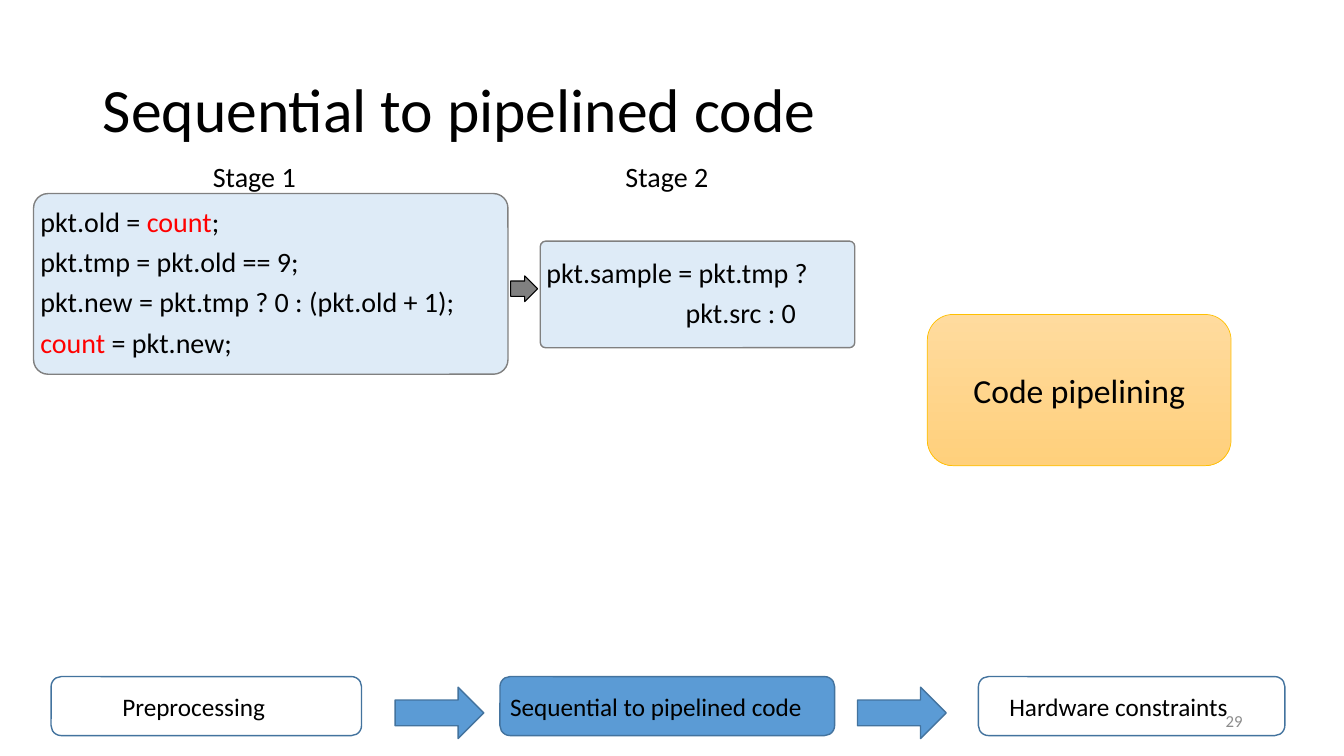
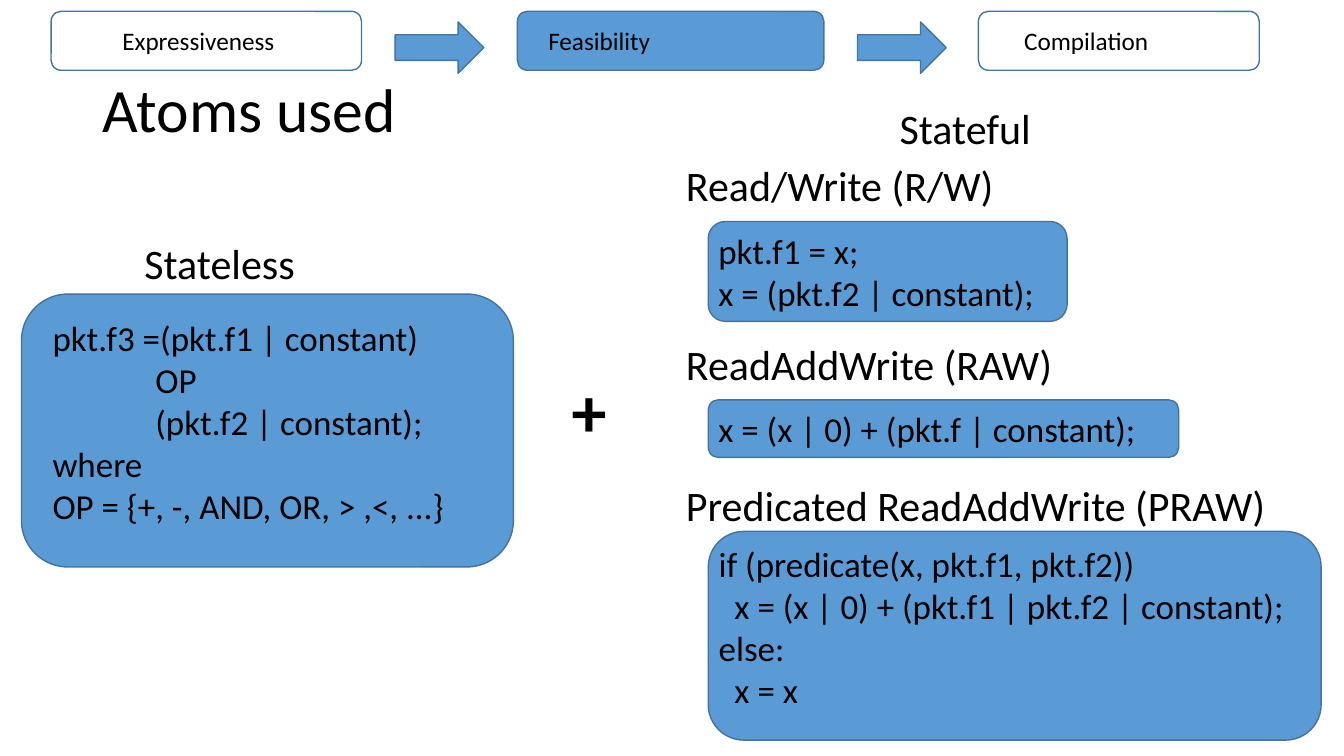
import pptx
import pptx.dml.color
import pptx.enum.shapes
import pptx.enum.text
import pptx.util

WIDE, HIGH = 13.33, 7.5
BLACK, RED, GRAY, PALE = "000000", "FF0000", "808080", "DEEBF7"
BLUE, NAVY, GOLD, MUTED = "5B9BD5", "43739E", "FFC000", "8C8C8C"
GLOW = ("FFDB9E", "FFD07C")
FONT = "Calibri"
TITLE = (6.9, 5.3, 86.2, 19.3)
BAR_H = 7.8
CURVE = 0.29  # share of a corner radius by which a rounded box insets its text

KIND = pptx.enum.shapes.MSO_SHAPE
ALIGN = pptx.enum.text.PP_ALIGN
ANCHOR = pptx.enum.text.MSO_ANCHOR


def col(share):
    return pptx.util.Inches(share * WIDE / 100)


def row(share):
    return pptx.util.Inches(share * HIGH / 100)


def place(x, y, w, h):
    """Turn percentages of the slide into lengths."""
    return col(x), row(y), col(w), row(h)


def rgb(code):
    return pptx.dml.color.RGBColor.from_string(code)


def write(frame, text, size, color=BLACK, align=ALIGN.LEFT, bold=False,
          hot=None, step=None, after=None):
    """Fill a frame line by line; the word given as hot turns red."""
    frame.word_wrap = True
    for i, line in enumerate(text.split("\n")):
        para = frame.paragraphs[0] if i == 0 else frame.add_paragraph()
        para.alignment = align
        para.line_spacing = step
        if after:
            para.space_after = pptx.util.Pt(after)
        font = para.font
        font.name, font.size, font.bold = FONT, pptx.util.Pt(size), bold
        font.color.rgb = rgb(color)
        for part in line.partition(hot) if hot else (line,):
            if part:
                run = para.add_run()
                run.text = part
                if part == hot:
                    run.font.color.rgb = rgb(RED)


def label(slide, area, text, size, **style):
    frame = slide.shapes.add_textbox(*place(*area)).text_frame
    write(frame, text, size, **style)
    return frame


def draw(slide, kind, area, fill=None, line=NAVY, width=1):
    """Add a flat shape; fill is a colour, a pair for a gradient, or None."""
    shape = slide.shapes.add_shape(kind, *place(*area))
    shape.shadow.inherit = False
    shape.line.color.rgb = rgb(line)
    shape.line.width = pptx.util.Pt(width)
    if fill is None:
        shape.fill.background()
    elif isinstance(fill, tuple):
        shape.fill.gradient()
        shape.fill.gradient_angle = 270
        for stop, code in zip(shape.fill.gradient_stops, fill):
            stop.color.rgb = rgb(code)
    else:
        shape.fill.solid()
        shape.fill.fore_color.rgb = rgb(fill)
    return shape


def box(slide, area, text, size, fill=None, line=NAVY, width=1,
        pad=0.75, lift=0, bend=0.17, **style):
    """Add a rounded box with text pad columns in, moved up by lift / 2 rows."""
    shape = draw(slide, KIND.ROUNDED_RECTANGLE, area, fill, line, width)
    shape.adjustments[0] = bend
    frame = shape.text_frame
    frame.vertical_anchor = ANCHOR.MIDDLE
    inset = int(CURVE * bend * min(shape.width, shape.height))
    frame.margin_left = max(0, col(pad) - inset)
    frame.margin_right = frame.margin_top = 0
    frame.margin_bottom = row(lift)
    write(frame, text, size, **style)


def bar(slide, top, steps):
    """Add three linked steps, the middle one lit."""
    for i, (x, w, pad, text) in enumerate(steps):
        box(slide, (x, top, w, BAR_H), text, 18, BLUE if i == 1 else None,
            pad=pad)
    for x in (29.4, 63.8):
        draw(slide, KIND.RIGHT_ARROW, (x, top + 1.4, 6.6, 6.8), BLUE)


def start(deck, text):
    """Add a slide with its title."""
    slide = deck.slides.add_slide(deck.slide_layouts[5])
    title = slide.shapes.title
    title.left, title.top, title.width, title.height = place(*TITLE)
    frame = title.text_frame
    frame.auto_size = pptx.enum.text.MSO_AUTO_SIZE.NONE
    frame.vertical_anchor = ANCHOR.MIDDLE
    write(frame, text, 44, step=0.9)
    return slide


def stages(deck):
    slide = start(deck, "Sequential to pipelined code")
    code = dict(fill=PALE, line=GRAY, step=0.9, after=7)
    box(slide, (2.5, 25.6, 35.3, 23.9),
        "pkt.old = count;\n"
        "pkt.tmp = pkt.old == 9;\n"
        "pkt.new = pkt.tmp ? 0 : (pkt.old + 1);\n"
        "count = pkt.new;", 20, pad=0.5, bend=0.08, hot="count", **code)
    box(slide, (40.2, 31.9, 23.4, 14.1),
        "pkt.sample = pkt.tmp ?\n"
        "                      pkt.src : 0", 20, pad=0.45, bend=0.05, **code)
    link = draw(slide, KIND.RIGHT_ARROW, (38, 36.5, 2, 3.4), GRAY, BLACK, 0.75)
    link.adjustments[0] = 0.6
    for i, x in enumerate((15.1, 45.8), 1):
        label(slide, (x, 20.5, 8.7, 5.9), f"Stage {i}", 20)
    box(slide, (69, 41.6, 22.6, 20), "Code pipelining", 24, GLOW, GOLD, 0.5,
        pad=0, align=ALIGN.CENTER)
    bar(slide, 89.5, [(3.8, 23.1, 5.3, "Preprocessing"),
                      (37.2, 24.9, 0.75, "Sequential to pipelined code"),
                      (72.8, 22.8, 2.3, "Hardware constraints")])
    page = label(slide, (70.7, 92.7, 22.5, 5.3), "29", 12, color=MUTED,
                 align=ALIGN.RIGHT)
    page.vertical_anchor = ANCHOR.MIDDLE


def atoms(deck):
    slide = start(deck, "Atoms used")
    bar(slide, 1.5, [(3.8, 23.1, 5.3, "Expressiveness"),
                     (38.5, 22.8, 2.3, "Feasibility"),
                     (72.8, 20.9, 3.4, "Compilation")])
    for x, y, w, text in (
            (10, 30.8, 13.7, "Stateless"),
            (66.2, 12.9, 12.2, "Stateful"),
            (50.3, 20.4, 26.1, "Read/Write (R/W)"),
            (50.3, 44.1, 31.4, "ReadAddWrite (RAW)"),
            (50.3, 62.8, 48.8, "Predicated ReadAddWrite (PRAW)")):
        label(slide, (x, y, w, 8.1), text, 30)
    label(slide, (41.8, 48, 5.2, 12.5), "+", 50, bold=True)
    box(slide, (1.6, 38.9, 36.6, 36.1),
        "pkt.f3 =(pkt.f1 | constant)\n"
        "             OP\n"
        "             (pkt.f2 | constant);\n"
        "where\n"
        "OP = {+, -, AND, OR, > ,<, ...}", 25, BLUE, pad=2.3, lift=2.4)
    for y, w, h, pad, lift, text in (
            (29.3, 26.7, 13.2, 0.75, 0,
             "pkt.f1 = x;\nx = (pkt.f2 | constant);"),
            (52.9, 35, 7.6, 0.75, 0, "x = (x | 0) + (pkt.f | constant);"),
            (70.3, 45.6, 27.6, 0.4, 2.4,
             "if (predicate(x, pkt.f1, pkt.f2))\n"
             "  x = (x | 0) + (pkt.f1 | pkt.f2 | constant);\n"
             "else:\n"
             "  x = x")):
        box(slide, (52.7, y, w, h), text, 25, BLUE, pad=pad, lift=lift)


def main():
    deck = pptx.Presentation()
    deck.slide_width = pptx.util.Inches(WIDE)
    deck.slide_height = pptx.util.Inches(HIGH)
    stages(deck)
    atoms(deck)
    deck.save("out.pptx")


if __name__ == "__main__":
    main()
